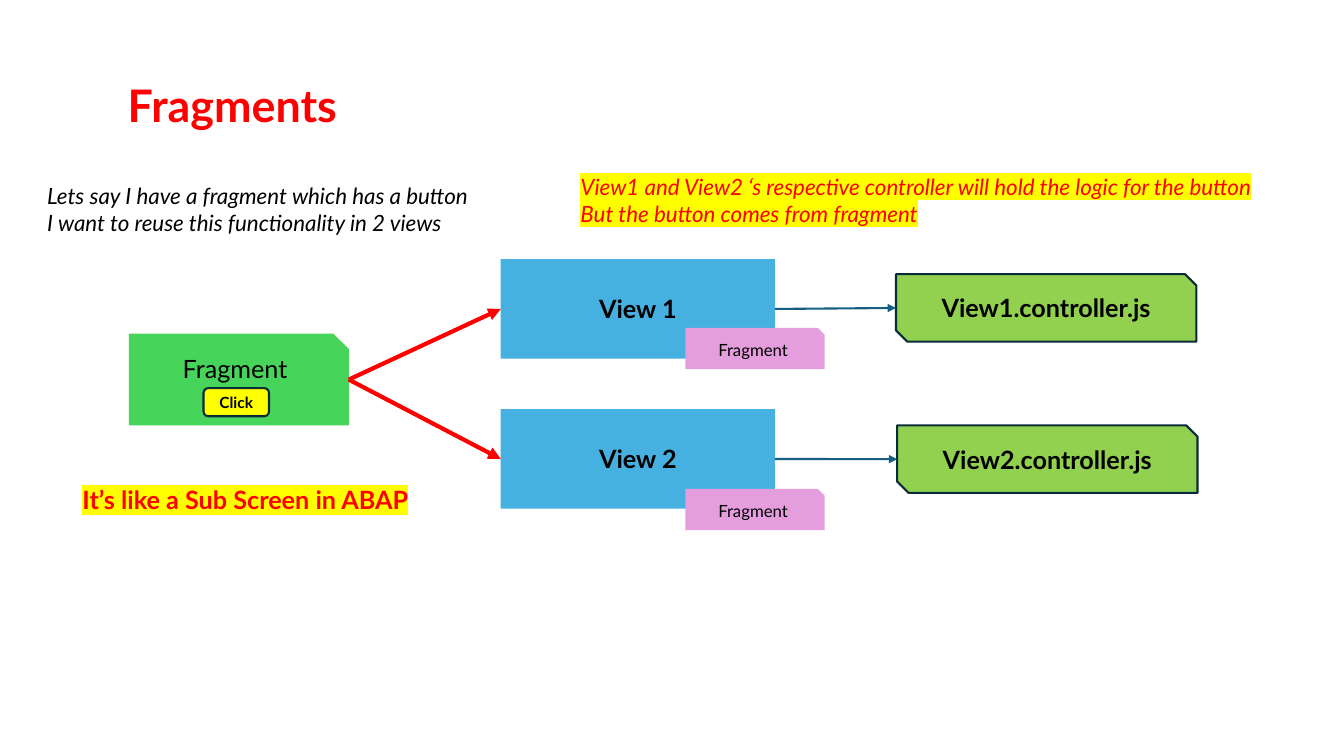
from lxml import etree
from pptx import Presentation
from pptx.dml.color import RGBColor
from pptx.enum.shapes import MSO_CONNECTOR, MSO_SHAPE
from pptx.enum.text import MSO_ANCHOR, MSO_AUTO_SIZE, PP_ALIGN
from pptx.oxml.ns import qn
from pptx.util import Cm, Pt

STRAIGHT = MSO_CONNECTOR.STRAIGHT
RECTANGLE = MSO_SHAPE.RECTANGLE
ROUNDED = MSO_SHAPE.ROUNDED_RECTANGLE
SNIPPED = MSO_SHAPE.SNIP_1_RECTANGLE
DIAGONAL = MSO_SHAPE.SNIP_2_DIAG_RECTANGLE
MIDDLE = MSO_ANCHOR.MIDDLE
CENTER, LEFT = PP_ALIGN.CENTER, PP_ALIGN.LEFT
FIT_SHAPE = MSO_AUTO_SIZE.SHAPE_TO_FIT_TEXT

FONT = "Lato"
BLACK, RED, YELLOW = "000000", "FF0000", "FFFF00"
GREEN, BLUE, PINK, LIME = "47D45A", "46B1E1", "E59EDD", "92D050"
OUTLINE, ARROW = "092A39", "156082"

NOTES = [
    (["Lets say I have a fragment which has a button",
      "I want to reuse this functionality in 2 views"],
     (0.94, 4.47, 11.66, 1.63), False, dict(size=16, italic=True)),
    (["Fragments"],
     (2.97, 1.83, 6.58, 1.63), True, dict(size=32, bold=True, color=RED)),
    (["It’s like a Sub Screen in ABAP"],
     (1.83, 12.09, 8.89, 1.02), False,
     dict(size=18, bold=True, color=RED, highlight=YELLOW)),
    (["View1 and View2 ‘s respective controller will hold the logic for the button",
      "But the button comes from fragment"],
     (14.38, 4.24, 18.16, 1.63), False,
     dict(size=16, italic=True, color=RED, highlight=YELLOW)),
]
SOURCE = ("Fragment", (3.25, 8.41, 5.54, 2.31))
BUTTON = ("Click", (5.13, 9.78, 1.65, 0.71))
VIEWS = [("View 1", (12.62, 6.53, 6.91, 2.51)),
         ("View 2", (12.62, 10.31, 6.91, 2.51))]
COPIES = [("Fragment", (17.27, 8.26, 3.51, 1.04)),
          ("Fragment", (17.27, 12.32, 3.51, 1.04))]
CONTROLLERS = [("View1.controller.js", (22.58, 6.91, 7.57, 1.7)),
               ("View2.controller.js", (22.61, 10.72, 7.57, 1.7))]


def rgb(value):
    return RGBColor.from_string(value)


def write(frame, lines, size=18, color=BLACK, bold=False, italic=False,
          highlight=None, align=LEFT):
    for index, line in enumerate(lines):
        para = frame.add_paragraph() if index else frame.paragraphs[0]
        para.alignment = align
        span = para.add_run()
        span.text = line
        font = span.font
        font.name, font.size = FONT, Pt(size)
        font.bold, font.italic = bold, italic
        font.color.rgb = rgb(color)
        if highlight:
            mark = etree.Element(qn("a:highlight"))
            etree.SubElement(mark, qn("a:srgbClr"), val=highlight)
            span._r.rPr.find(qn("a:solidFill")).addnext(mark)


def add_note(page, lines, area, wrap, style):
    box = page.shapes.add_textbox(*map(Cm, area))
    frame = box.text_frame
    frame.word_wrap = wrap
    frame.auto_size = FIT_SHAPE
    write(frame, lines, **style)


def add_block(page, kind, item, fill, outline=None, bottom=0.13, **style):
    text, area = item
    block = page.shapes.add_shape(kind, *map(Cm, area))
    block.shadow.inherit = False
    block.fill.solid()
    block.fill.fore_color.rgb = rgb(fill)
    if outline:
        block.line.color.rgb = rgb(outline)
        block.line.width = Pt(1.5)
    else:
        block.line.fill.background()
    frame = block.text_frame
    frame.word_wrap = True
    frame.vertical_anchor = MIDDLE
    frame.margin_bottom = Cm(bottom)
    write(frame, [text], align=CENTER, **style)


def add_arrow(page, start, end, color, width):
    left, top, across, down = start[1]
    target_left, target_top, _, target_down = end[1]
    arrow = page.shapes.add_connector(
        STRAIGHT, Cm(left + across), Cm(top + down / 2),
        Cm(target_left), Cm(target_top + target_down / 2))
    arrow.line.color.rgb = rgb(color)
    arrow.line.width = Pt(width)
    etree.SubElement(arrow.line._get_or_add_ln(), qn("a:tailEnd"), type="triangle")
    etree.SubElement(arrow._element.spPr, qn("a:effectLst"))


def main():
    """Build the slide on fragments shared by two views."""
    deck = Presentation()
    deck.slide_width, deck.slide_height = Cm(33.87), Cm(19.05)
    page = deck.slides.add_slide(deck.slide_layouts[6])
    for note in NOTES:
        add_note(page, *note)
    add_block(page, SNIPPED, SOURCE, GREEN, bottom=0.89)
    add_block(page, ROUNDED, BUTTON, YELLOW, OUTLINE, size=11, bold=True)
    for view, copy, controller in zip(VIEWS, COPIES, CONTROLLERS):
        add_block(page, RECTANGLE, view, BLUE, bold=True)
        add_arrow(page, SOURCE, view, RED, 3)
        add_block(page, SNIPPED, copy, PINK, size=12)
        add_block(page, DIAGONAL, controller, LIME, OUTLINE, bold=True)
        add_arrow(page, view, controller, ARROW, 1.5)
    deck.save("out.pptx")


if __name__ == "__main__":
    main()
